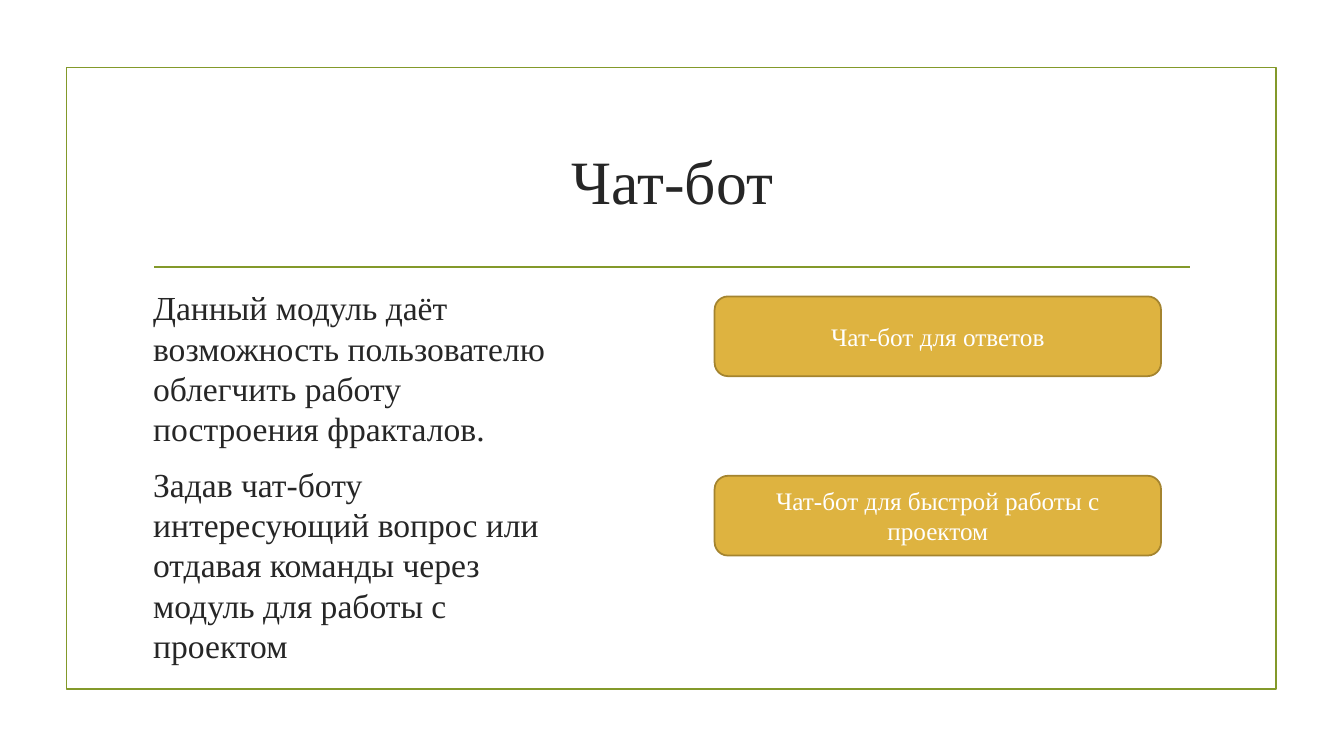
import pptx
import pptx.util
import pptx.dml.color
import pptx.enum.shapes
import pptx.enum.text

Cm, Pt = pptx.util.Cm, pptx.util.Pt
Kind = pptx.enum.shapes.MSO_SHAPE
Align = pptx.enum.text.PP_ALIGN
Anchor = pptx.enum.text.MSO_ANCHOR

TITLE = "Чат-бот"
BODY = [
    "Данный модуль даёт возможность пользователю облегчить работу построения фракталов.",
    "Задав чат-боту интересующий вопрос или отдавая команды через модуль для работы с проектом",
]
BUTTONS = ["Чат-бот для ответов", "Чат-бот для быстрой работы с проектом"]
COLORS = {"olive": "83992A", "ink": "262626", "gold": "DEB340", "edge": "A4842F", "white": "FFFFFF"}
FONT = "Times New Roman"


def color(name):
    return pptx.dml.color.RGBColor.from_string(COLORS[name])


def write(shape, lines, size, ink, align, anchor):
    frame = shape.text_frame
    frame.word_wrap = True
    frame.vertical_anchor = anchor
    for i, line in enumerate(lines):
        para = frame.add_paragraph() if i else frame.paragraphs[0]
        para.alignment = align
        if i:
            para.space_before = Pt(size * 0.2)
        if len(lines) > 1:
            para.space_after = Pt(6)
        run = para.add_run()
        run.text = line
        run.font.name = FONT
        run.font.size = Pt(size)
        run.font.color.rgb = color(ink)


def edge(shape, name):
    shape.line.color.rgb = color(name)
    shape.line.width = Pt(1.25)


def main():
    deck = pptx.Presentation()
    deck.slide_width, deck.slide_height = Cm(33.87), Cm(19.05)
    shapes = deck.slides.add_slide(deck.slide_layouts[6]).shapes

    frame = shapes.add_shape(Kind.RECTANGLE, Cm(1.68), Cm(1.7), Cm(30.48), Cm(15.67))
    frame.shadow.inherit = False
    frame.fill.background()
    edge(frame, "olive")

    rule = shapes.add_connector(
        pptx.enum.shapes.MSO_CONNECTOR.STRAIGHT, Cm(3.89), Cm(6.73), Cm(30), Cm(6.73))
    edge(rule, "olive")
    rule._element.spPr.append(pptx.oxml.parse_xml(
        '<a:effectLst xmlns:a="http://schemas.openxmlformats.org/drawingml/2006/main"/>'))

    title = shapes.add_textbox(Cm(3.61), Cm(2.72), Cm(26.67), Cm(3.63))
    write(title, [TITLE], 44, "ink", Align.CENTER, Anchor.MIDDLE)
    body = shapes.add_textbox(Cm(3.61), Cm(7.11), Cm(10.41), Cm(9.22))
    write(body, BODY, 24, "ink", Align.LEFT, Anchor.TOP)

    for i, label in enumerate(BUTTONS):
        button = shapes.add_shape(
            Kind.ROUNDED_RECTANGLE, Cm(18.01), Cm(7.47 + 4.52 * i), Cm(11.25), Cm(2.01))
        button.shadow.inherit = False
        button.fill.solid()
        button.fill.fore_color.rgb = color("gold")
        edge(button, "edge")
        write(button, [label], 18, "white", Align.CENTER, Anchor.MIDDLE)

    deck.save("out.pptx")


if __name__ == "__main__":
    main()
